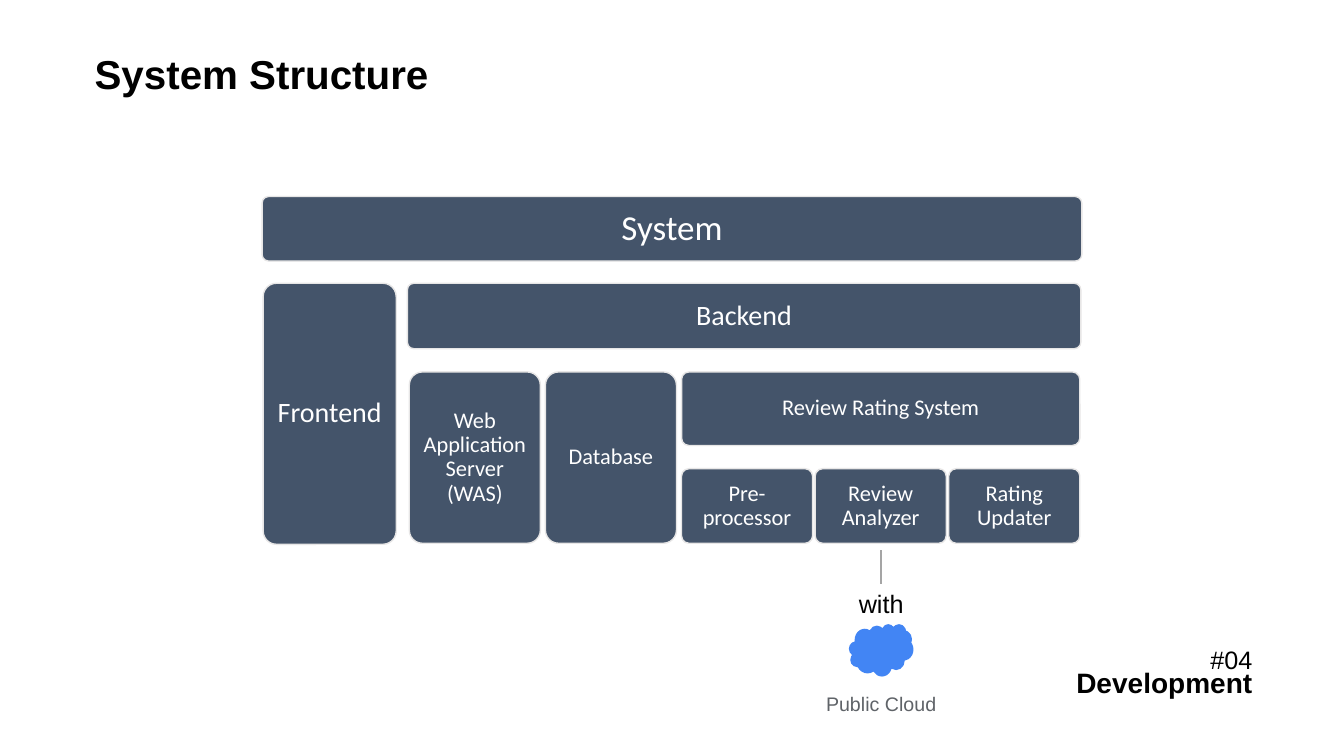
import dataclasses

import lxml.etree
import pptx
import pptx.dml.color
import pptx.enum.shapes
import pptx.enum.text
import pptx.oxml.ns
import pptx.util

SCALE = 9144  # EMU in one px, 100 px to the inch
ALIGN = pptx.enum.text.PP_ALIGN
ANCHOR = pptx.enum.text.MSO_ANCHOR
SHAPE = pptx.enum.shapes.MSO_SHAPE


@dataclasses.dataclass(frozen=True)
class Theme:
    head: str = "Arial"
    body: str = "Calibri"
    ink: str = "000000"
    block: str = "44546A"
    edge: str = "E7E6E6"
    light: str = "FFFFFF"
    rule: str = "A5A5A5"
    cloud: str = "4285F4"
    label: str = "5F6368"
    title: float = 28.8
    large: int = 25
    mid: int = 20
    note: int = 18
    small: int = 16
    tiny: int = 14


THEME = Theme()


def px(size):
    return pptx.util.Emu(round(size * SCALE))


def color(code):
    return pptx.dml.color.RGBColor.from_string(code)


def write(shape, text, size, ink=THEME.ink, face=THEME.head, bold=False,
          align=ALIGN.CENTER, anchor=ANCHOR.TOP, space=None):
    frame = shape.text_frame
    frame.word_wrap = True
    frame.vertical_anchor = anchor
    para = frame.paragraphs[0]
    para.alignment = align
    para.line_spacing = space
    run = para.add_run()
    run.text = text
    run.font.name = face
    run.font.size = pptx.util.Pt(size)
    run.font.bold = bold
    run.font.color.rgb = color(ink)


def add_text(slide, box, text, size, **style):
    shape = slide.shapes.add_textbox(*map(px, box))
    write(shape, text, size, **style)
    return shape


def add_form(slide, kind, box, fill):
    shape = slide.shapes.add_shape(kind, *map(px, box))
    shape.shadow.inherit = False
    shape.fill.solid()
    shape.fill.fore_color.rgb = color(fill)
    return shape


def add_block(slide, box, text, size, inset):
    shape = add_form(slide, SHAPE.ROUNDED_RECTANGLE, box, THEME.block)
    shape.adjustments[0] = 0.1
    shape.line.color.rgb = color(THEME.edge)
    shape.line.width = pptx.util.Pt(1)
    frame = shape.text_frame
    frame.margin_left = frame.margin_right = px(inset)
    frame.margin_top = frame.margin_bottom = px(inset)
    write(shape, text, size, ink=THEME.light, face=THEME.body,
          anchor=ANCHOR.MIDDLE, space=0.9)


def add_rating(slide, box):
    """Draw the rating system bar and its three parts, spread evenly below."""
    left, top, width, height = box
    add_block(slide, (left, top, width, 73), "Review Rating System", THEME.small, 7)
    wide, tall = 130, 74
    parts = ("Pre-processor", "Review Analyzer", "Rating Updater")
    step = (width - wide) / (len(parts) - 1)
    for i, name in enumerate(parts):
        spot = (left + i * step, top + height - tall, wide, tall)
        add_block(slide, spot, name, THEME.small, 7)


def add_backend(slide, box):
    left, top, width, height = box
    add_block(slide, (left, top, width, 65), "Backend", THEME.mid, 8)
    drop, wide, gap = 88, 130, 5
    start = left + 2
    tall = height - drop - 1
    for i, name in enumerate(("Web Application Server (WAS)", "Database")):
        spot = (start + i * (wide + gap), top + drop, wide, tall)
        add_block(slide, spot, name, THEME.small, 7)
    side = start + 2 * (wide + gap)
    add_rating(slide, (side, top + drop, left + width - 1 - side, tall))


def add_system(slide, box):
    left, top, width, height = box
    add_block(slide, (left, top, width, 64), "System", THEME.large, 10)
    drop = 86
    add_block(slide, (left + 1, top + drop, 132, height - drop), "Frontend", THEME.mid, 8)
    add_backend(slide, (left + 144, top + drop, width - 145, height - drop))


def add_host(slide, box):
    """Draw the host of the analyzer: rule, caption, cloud and its name."""
    left, top, width, height = box
    mid = left + width // 2
    note = add_text(slide, (mid - 55, top + 33, 110, 40), "with", THEME.note)
    rule = slide.shapes.add_connector(pptx.enum.shapes.MSO_CONNECTOR.STRAIGHT,
                                      px(mid), px(top + 33), px(mid), px(top))
    rule.begin_connect(note, 0)
    rule.line.color.rgb = color(THEME.rule)
    rule.line.width = pptx.util.Pt(1.5)
    lxml.etree.SubElement(rule._element.spPr, pptx.oxml.ns.qn("a:effectLst"))
    cloud = add_form(slide, SHAPE.CLOUD, (mid - 32, top + 73, 64, 52), THEME.cloud)
    cloud.line.fill.background()
    add_text(slide, (left, top + height - 36, width, 36), "Public Cloud",
             THEME.tiny, ink=THEME.label, anchor=ANCHOR.MIDDLE)


def add_mark(slide, box):
    """Draw the section number over the section name, flush right."""
    left, top, width, height = box
    add_text(slide, (left, top, width, 40), "#04", THEME.note, align=ALIGN.RIGHT)
    add_text(slide, (left, top + height - 44, width, 44), "Development",
             THEME.mid, bold=True, align=ALIGN.RIGHT)


def main():
    deck = pptx.Presentation()
    deck.slide_width, deck.slide_height = px(1333), px(750)
    slide = deck.slides.add_slide(deck.slide_layouts[6])
    add_text(slide, (84, 51, 371, 53), "System Structure", THEME.title, bold=True,
             align=ALIGN.LEFT, anchor=ANCHOR.MIDDLE, space=0.8)
    add_system(slide, (260, 195, 813, 345))
    add_host(slide, (794, 546, 160, 170))
    add_mark(slide, (1013, 634, 239, 65))
    deck.save("out.pptx")


if __name__ == "__main__":
    main()
